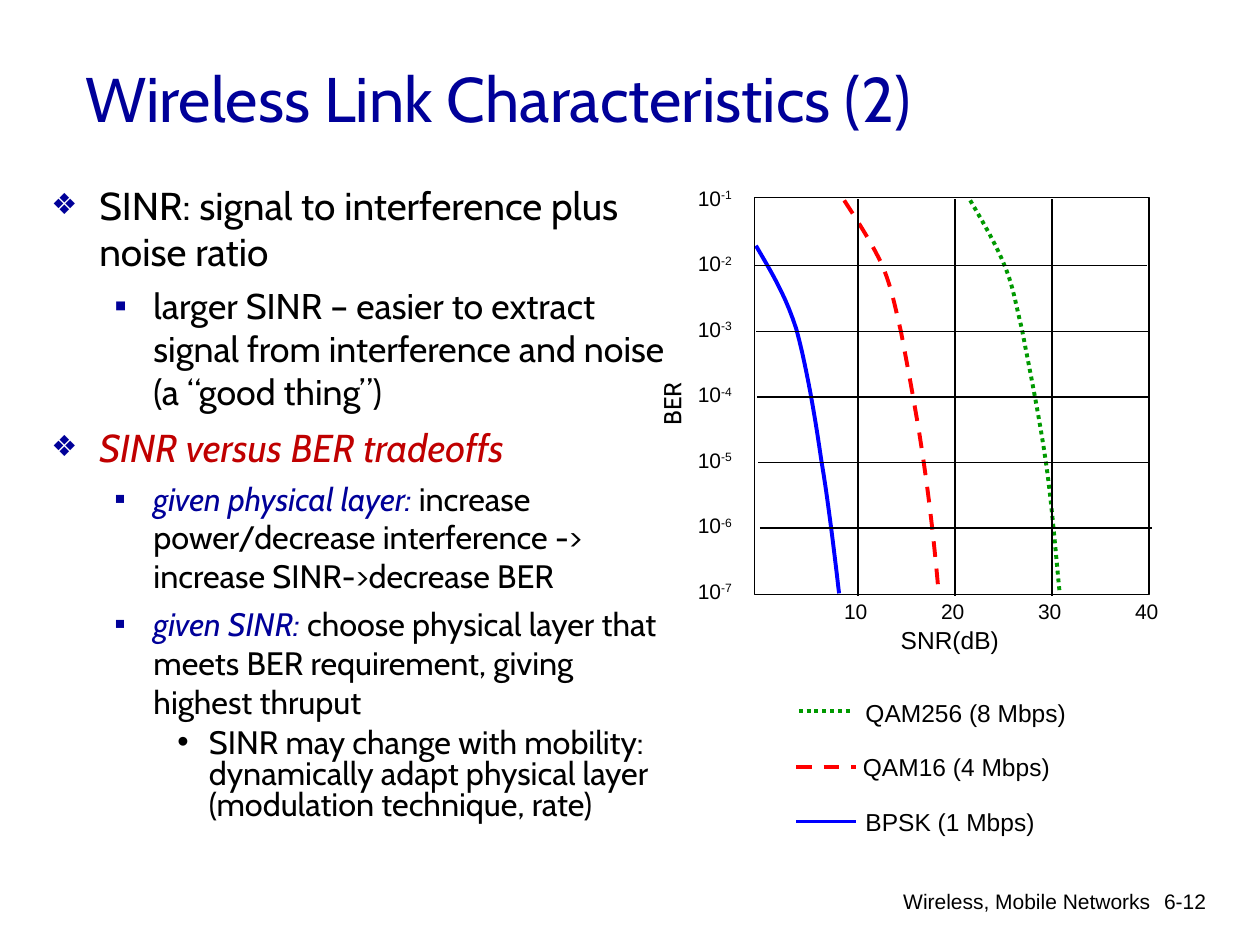
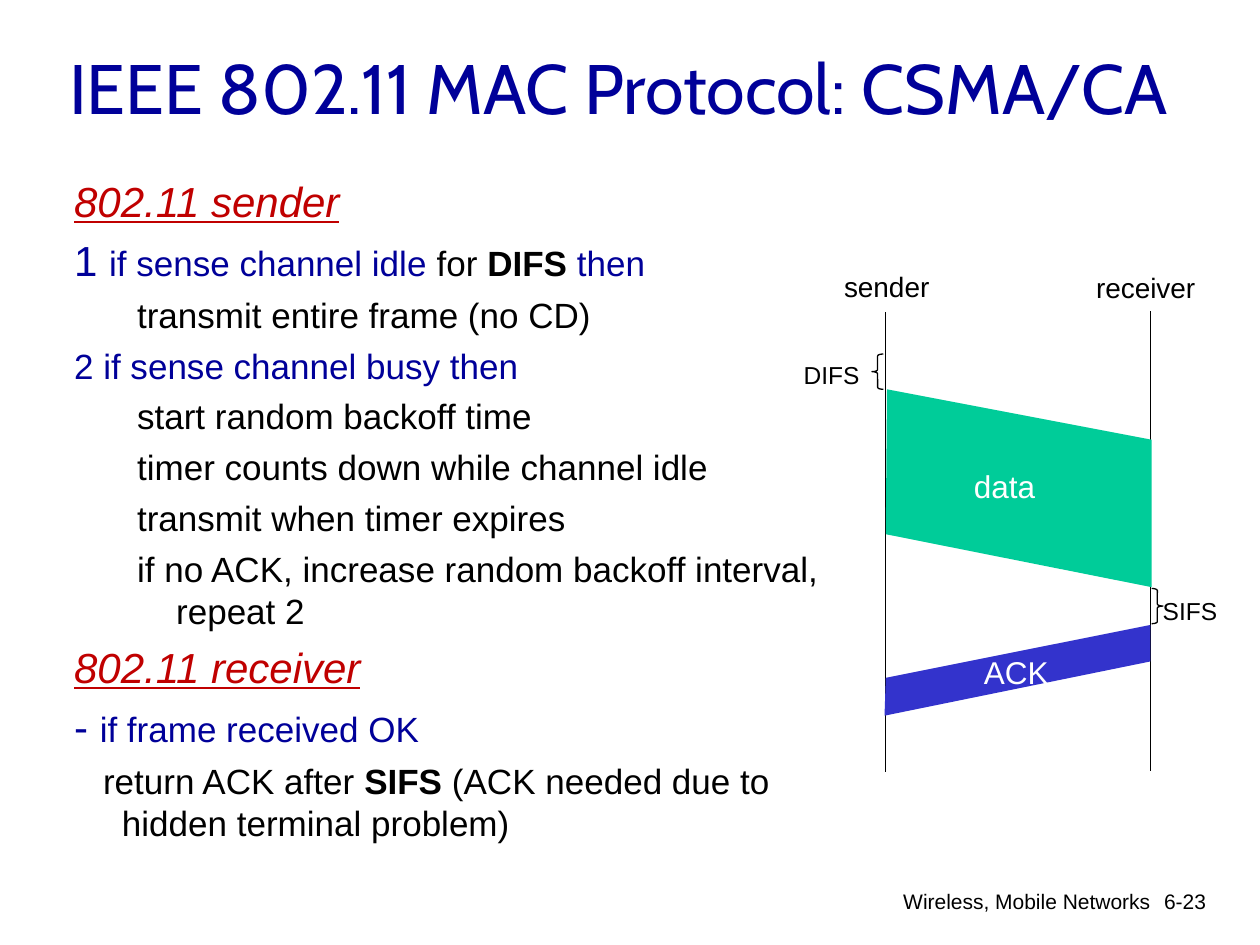
from lxml import etree
from pptx import Presentation
from pptx.dml.color import RGBColor
from pptx.enum.dml import MSO_LINE
from pptx.enum.shapes import MSO_CONNECTOR, MSO_SHAPE
from pptx.enum.text import MSO_ANCHOR, PP_ALIGN
from pptx.oxml.ns import qn
from pptx.util import Pt

PX = 9144  # EMU in one px, 100 px to the inch
DASH, DOT = MSO_LINE.DASH, MSO_LINE.ROUND_DOT
STRAIGHT = MSO_CONNECTOR.STRAIGHT
RECT, LEFT_BRACE, RIGHT_BRACE = MSO_SHAPE.RECTANGLE, MSO_SHAPE.LEFT_BRACE, MSO_SHAPE.RIGHT_BRACE
RIGHT, MIDDLE = PP_ALIGN.RIGHT, MSO_ANCHOR.MIDDLE


class Theme:
    black, white, navy, crimson = "000000", "FFFFFF", "000099", "C00000"
    blue, red, green = "0000FF", "FF0000", "009900"
    teal, indigo = "00CC99", "3333CC"
    sans, head = "Arial", "Cabin"
    tick, label, name, block = 12, 14, 16, 18
    thin, thick = 0.75, 2.25


def write(slide, box, text, font=None, align=None, **frame_fmt):
    """Add a text box; text is a string or a list of (style, runs)."""
    shape = slide.shapes.add_textbox(*[v * PX for v in box])
    frame = shape.text_frame
    frame.word_wrap = True
    for key, val in frame_fmt.items():
        setattr(frame, key, val)
    paras = [({}, [(text, {})])] if isinstance(text, str) else text
    base = {"name": Theme.sans, "size": Theme.tick, "color": Theme.black, **(font or {})}
    for num, (style, runs) in enumerate(paras):
        para = frame.paragraphs[0] if num == 0 else frame.add_paragraph()
        para.alignment = align
        para.level = style.get("level", 0)
        para.space_before = Pt(style.get("before", 0) if num else 0)
        para.line_spacing = style.get("lines")
        props = para._p.get_or_add_pPr()
        if "indent" in style:
            left, first = style["indent"]
            props.set("marL", str(left * PX))
            props.set("indent", str(first * PX))
        if "mark" in style:
            char, tint, size = style["mark"]
            etree.SubElement(etree.SubElement(props, qn("a:buClr")), qn("a:srgbClr")).set("val", tint)
            etree.SubElement(props, qn("a:buSzPct")).set("val", str(size * 1000))
            etree.SubElement(props, qn("a:buFont")).set("typeface", Theme.sans)
            etree.SubElement(props, qn("a:buChar")).set("char", char)
        for words, fmt in runs:
            run = para.add_run()
            run.text = words
            fmt = {**base, **fmt}
            run.font.color.rgb = RGBColor.from_string(fmt.pop("color"))
            run.font.size = Pt(fmt.pop("size"))
            raised = fmt.pop("raised", 0)
            if raised:
                run._r.get_or_add_rPr().set("baseline", str(raised * 1000))
            for key, val in fmt.items():
                setattr(run.font, key, val)
    return shape


def draw(slide, pts, tint=Theme.black, width=Theme.thin, dash=None, fill=None):
    """Join points: two give a connector, more give an outline."""
    pts = [(round(x * PX), round(y * PX)) for x, y in pts]
    if len(pts) == 2:
        shape = slide.shapes.add_connector(STRAIGHT, *pts[0], *pts[1])
    else:
        pen = slide.shapes.build_freeform(*pts[0], scale=1.0)
        pen.add_line_segments(pts[1:], close=bool(fill))
        shape = pen.convert_to_shape()
        shape.shadow.inherit = False
        if fill:
            shape.fill.solid()
            shape.fill.fore_color.rgb = RGBColor.from_string(fill)
            shape.line.fill.background()
            return
        shape.fill.background()
    shape.line.color.rgb = RGBColor.from_string(tint)
    shape.line.width = Pt(width)
    shape.line.dash_style = dash
    if len(pts) == 2:
        etree.SubElement(shape._element.spPr, qn("a:effectLst"))


deck = Presentation()
deck.slide_width, deck.slide_height = 1000 * PX, 750 * PX

# Titles and footers
heads = [
    ("Wireless Link Characteristics (2)", 36, (58, 15, 850, 125), "6-12"),
    ("IEEE 802.11 MAC Protocol: CSMA/CA", 40, (45, 17, 955, 104), "6-23"),
]
slides = []
for title, size, box, page in heads:
    slide = deck.slides.add_slide(deck.slide_layouts[6])
    write(slide, (501, 700, 422, 35), "Wireless, Mobile Networks", align=RIGHT)
    write(slide, (893, 700, 74, 50), page, align=RIGHT)
    write(slide, box, title, {"name": Theme.head, "size": size, "color": Theme.navy},
          vertical_anchor=MIDDLE)
    slides.append(slide)
link, mac = slides
tight = {"margin_right": 0}  # keeps short labels on one line

# Slide 1: bullet text
top = {"indent": (38, -38), "before": 6, "mark": ("❖", Theme.navy, 75)}
sub = {"level": 1, "indent": (81, -31), "before": 5, "mark": ("▪", Theme.navy, 100)}
deep = {"level": 2, "indent": (125, -25), "before": 5, "lines": 0.8, "mark": ("•", Theme.black, 100)}
big, mid = {"size": 22.2}, {"size": 20.4}
term = {"color": Theme.navy, "italic": True}
write(link, (31, 139, 515, 568), [
    (top, [("SINR: signal to interference plus noise ratio", big)]),
    ({**sub, "before": 5.5}, [("larger SINR – easier to extract signal from interference "
                               "and noise (a “good thing”)", mid)]),
    (top, [("SINR versus BER tradeoffs", {**big, "color": Theme.crimson, "italic": True})]),
    (sub, [("given physical layer:", term),
           (" increase power/decrease interference -> increase SINR->decrease BER", {})]),
    (sub, [("given SINR:", term),
           (" choose physical layer that meets BER requirement, giving highest thruput", {})]),
    (deep, [("SINR may change with mobility: dynamically adapt physical layer "
             "(modulation technique, rate)", {})]),
], {"name": Theme.head, "size": 18.5})

# Slide 1: curves as Bezier chains, each with its key
curves = [
    ("BPSK (1 Mbps)", Theme.blue, None, (632, 679, 652), (677, 636, 179, 34),
     [(600, 195), (611, 214), (623, 233), (632, 261), (640, 290), (647, 331), (652, 366),
      (658, 401), (664, 454), (666, 471)]),
    ("QAM16 (4 Mbps)", Theme.red, DASH, (632, 679, 609), (675, 592, 179, 34),
     [(670, 159), (681, 176), (692, 193), (700, 210), (707, 227), (709, 237), (715, 263),
      (720, 289), (728, 331), (733, 366), (738, 400), (742, 436), (745, 471)]),
    ("QAM256 (8 Mbps)", Theme.green, DOT, (634, 677, 564), (677, 549, 179, 34),
     [(770, 159), (780, 176), (790, 193), (797, 210), (804, 227), (805, 236), (811, 261),
      (816, 287), (825, 331), (830, 366), (835, 400), (839, 452), (841, 470)]),
]
STEPS = 10
for name, tint, dash, (left, right, y), box, knots in curves:
    pts = [knots[0]]
    for i in range(0, len(knots) - 1, 3):
        for t in [n / STEPS for n in range(1, STEPS + 1)]:
            mix = ((1 - t) ** 3, 3 * t * (1 - t) ** 2, 3 * t * t * (1 - t), t ** 3)
            pts.append([sum(w * p[axis] for w, p in zip(mix, knots[i:i + 4])) for axis in (0, 1)])
    draw(link, pts, tint, Theme.thick, dash)
    draw(link, [(left, y), (right, y)], tint, Theme.thick, dash)
    write(link, box, name, {"size": Theme.label}, **tight)

# Slide 1: plot frame, grid and ticks
plot = link.shapes.add_shape(RECT, *[v * PX for v in (599, 157, 313, 315)])
plot.shadow.inherit = False
plot.fill.background()
plot.line.color.rgb = RGBColor.from_string(Theme.black)
plot.line.width = Pt(Theme.thin)
for i in range(5):
    y = 211 + 52 * i
    draw(link, [(599 + i, y), (910 + i, y)])
for i in range(3):
    x = 681 + 77 * i
    draw(link, [(x, 158), (x, 473)])
for i in range(4):
    write(link, (660 + 77 * i, 470, 38, 30), str(10 * (i + 1)), **tight)
for i in range(7):
    write(link, (544, 142 + 52 * i, 47, 30),
          [({}, [("10", {}), (f"-{i + 1}", {"raised": 30})])], **tight)
write(link, (705, 491, 98, 34), "SNR(dB)", {"size": Theme.label}, **tight)
axis = write(link, (506, 303, 55, 34), "BER", {"name": Theme.head, "size": Theme.label}, **tight)
axis.rotation = 270

# Slide 2: protocol steps
head = {"indent": (38, -38), "before": 6}
rule = {**head, "before": 5}
step = {"level": 1, "indent": (81, -31), "before": 5}
part = {"size": 24, "color": Theme.crimson, "italic": True, "underline": True}
navy, bold = {"color": Theme.navy}, {"bold": True}
lead = {"size": 24, **navy}
acts = ["start random backoff time", "timer counts down while channel idle",
        "transmit when timer expires", "if no ACK, increase random backoff interval, repeat 2"]
write(mac, (49, 134, 616, 542), [
    (head, [("802.11 sender", part)]),
    (rule, [("1 ", lead), ("if sense channel idle", navy), (" for ", {}), ("DIFS ", bold), ("then", navy)]),
    (step, [("transmit entire frame (no CD)", {})]),
    (rule, [("2 if sense channel busy then", navy)]),
    *[(step, [(act, {})]) for act in acts],
    (head, [("802.11 receiver", part)]),
    (rule, [("- ", lead), ("if frame received OK", navy)]),
    ({**rule, "indent": (38, -15)}, [("return ACK after ", {}), ("SIFS ", bold),
                                     ("(ACK needed due to hidden terminal problem)", {})]),
], {"size": 20})

# Slide 2: time lines, frames and gaps
for x, y in [(703, 248), (913, 247)]:
    draw(mac, [(x, y), (x, y + 365)])
draw(mac, [(704, 309), (914, 349), (914, 466), (703, 424)], fill=Theme.teal)
draw(mac, [(702, 568), (913, 525), (913, 496), (703, 538)], fill=Theme.indigo)
for kind, x, y in [(LEFT_BRACE, 692, 281), (RIGHT_BRACE, 914, 467)]:
    brace = mac.shapes.add_shape(kind, x * PX, y * PX, 9 * PX, 28 * PX)
    brace.shadow.inherit = False
    brace.adjustments[0] = 0.17
    brace.fill.background()
    brace.line.color.rgb = RGBColor.from_string(Theme.black)
    brace.line.width = Pt(Theme.thin)
tags = [
    ("sender", (660, 209, 88, 37), Theme.name, Theme.black),
    ("receiver", (860, 210, 99, 37), Theme.name, Theme.black),
    ("DIFS", (628, 281, 64, 34), Theme.label, Theme.black),
    ("SIFS", (913, 468, 63, 34), Theme.label, Theme.black),
    ("data", (763, 366, 68, 40), Theme.block, Theme.white),
    ("ACK", (771, 513, 71, 40), Theme.block, Theme.white),
]
for word, box, size, tint in tags:
    write(mac, box, word, {"size": size, "color": tint}, **tight)

deck.save("out.pptx")
